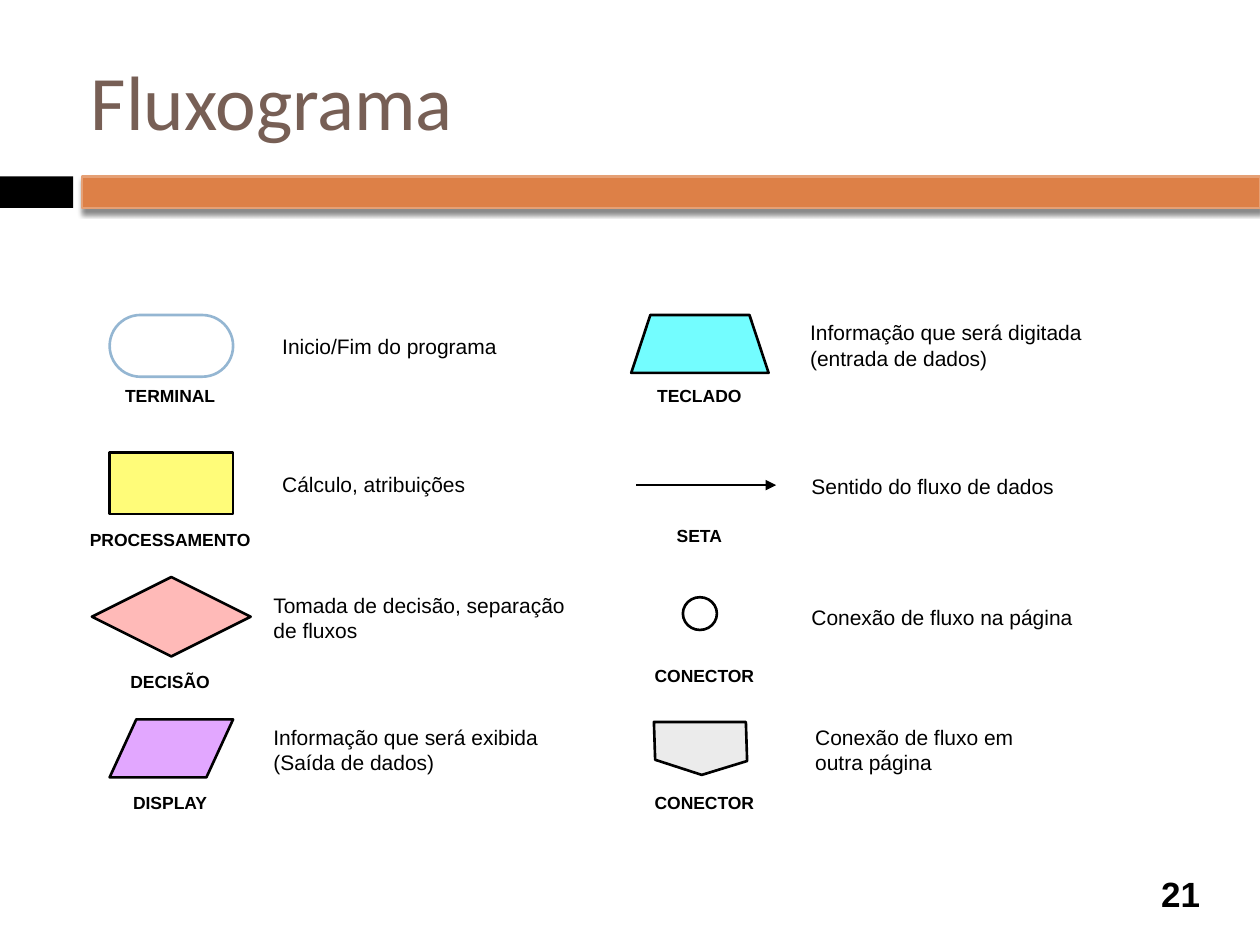
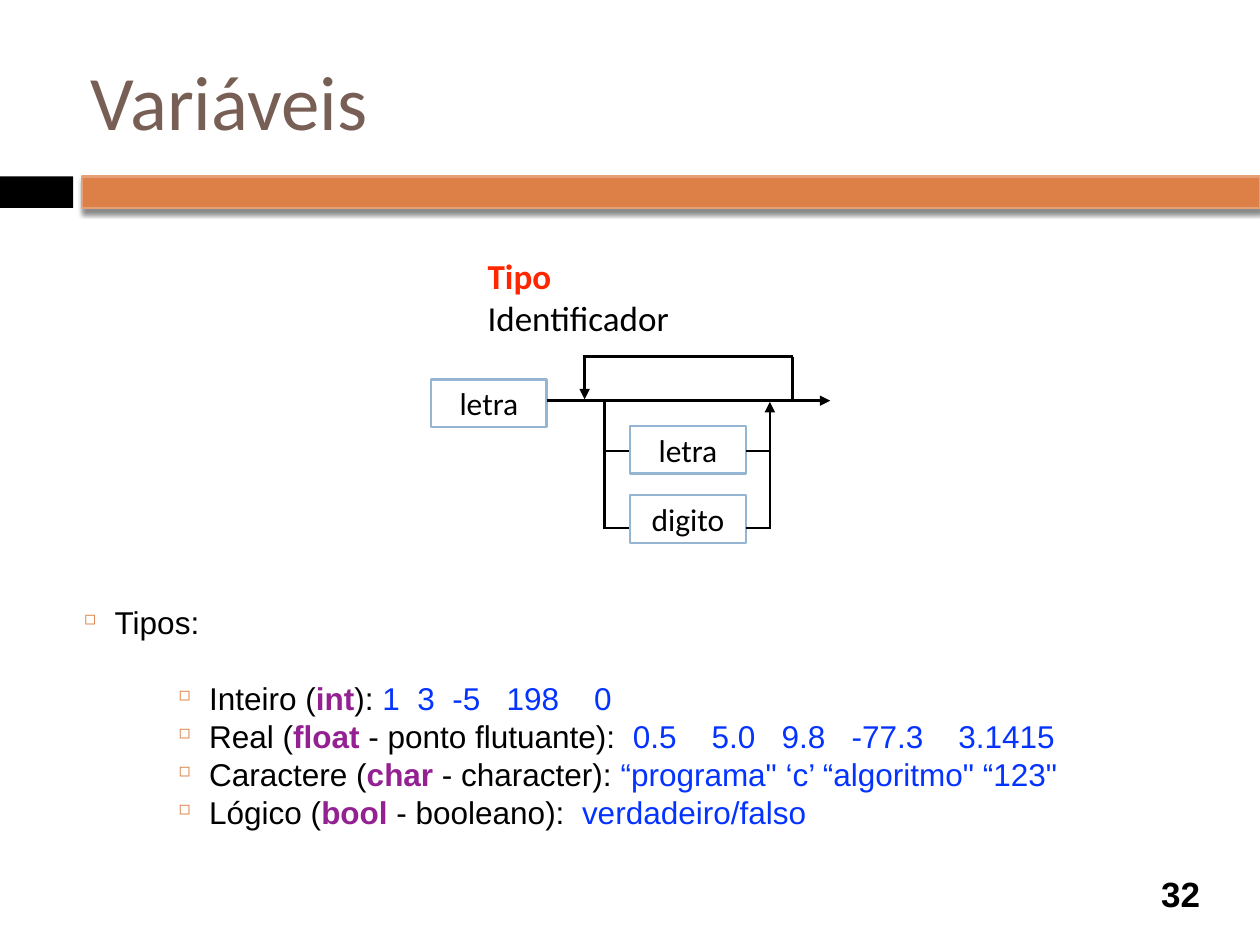
from dataclasses import dataclass

from lxml import etree
from pptx import Presentation
from pptx.dml.color import RGBColor
from pptx.enum.shapes import MSO_CONNECTOR, MSO_SHAPE
from pptx.enum.text import MSO_ANCHOR, MSO_AUTO_SIZE, PP_ALIGN
from pptx.oxml.ns import qn
from pptx.util import Inches, Pt

BLACK = RGBColor(0x00, 0x00, 0x00)
WHITE = RGBColor(0xFF, 0xFF, 0xFF)
BROWN = RGBColor(0x77, 0x5F, 0x55)
ORANGE = RGBColor(0xDD, 0x80, 0x47)
LIGHT_ORANGE = RGBColor(0xE5, 0xA0, 0x75)
STEEL = RGBColor(0x94, 0xB6, 0xD2)
YELLOW = RGBColor(0xFF, 0xFC, 0x79)
SALMON = RGBColor(0xFF, 0x7E, 0x79)
LILAC = RGBColor(0xD7, 0x83, 0xFF)
CYAN = RGBColor(0x73, 0xFD, 0xFF)
PALE_GRAY = RGBColor(0xEB, 0xEB, 0xEB)
RED = RGBColor(0xFF, 0x26, 0x00)
PURPLE = RGBColor(0x94, 0x21, 0x92)
BLUE = RGBColor(0x04, 0x33, 0xFF)

RECTANGLE = MSO_SHAPE.RECTANGLE
ROUNDED = MSO_SHAPE.ROUNDED_RECTANGLE
DIAMOND = MSO_SHAPE.DIAMOND
PARALLELOGRAM = MSO_SHAPE.PARALLELOGRAM
TRAPEZOID = MSO_SHAPE.TRAPEZOID
OVAL = MSO_SHAPE.OVAL
STRAIGHT = MSO_CONNECTOR.STRAIGHT
LEFT, CENTER = PP_ALIGN.LEFT, PP_ALIGN.CENTER
TOP, MIDDLE = MSO_ANCHOR.TOP, MSO_ANCHOR.MIDDLE
NO_AUTOFIT = MSO_AUTO_SIZE.NONE

TITLE_LAYOUT, BODY_LAYOUT = 5, 1
LINE_WIDTH = Pt(1.5)
INSET = Inches(0.05)
SPACE_WIDTH = 5
LIST_SPACING = 11
LIST_PITCH = 21.5
Area = tuple[float, float, float, float]
Point = tuple[float, float]


@dataclass(frozen=True)
class TextStyle:
    """Type settings of a text."""
    size: float
    font: str = "Arial"
    color: RGBColor = BLACK
    bold: bool = False
    align: PP_ALIGN = LEFT
    anchor: MSO_ANCHOR = TOP


@dataclass(frozen=True)
class Span:
    """A piece of a line, followed by a gap as wide as so many spaces."""
    text: str
    color: RGBColor = BLACK
    bold: bool = False
    gap: int = 0


@dataclass(frozen=True)
class Symbol:
    """A flowchart symbol with its label and meaning."""
    label: str
    label_at: Point
    meaning: str
    meaning_at: Point


@dataclass(frozen=True)
class Figure:
    """A preset shape and its look."""
    kind: MSO_SHAPE
    area: Area
    fill: RGBColor
    line: RGBColor = BLACK
    adjustment: float | None = None
    opacity: int = 100


@dataclass(frozen=True)
class Stroke:
    """A straight line, with or without an arrowhead at its end."""
    start: Point
    end: Point
    arrow: bool = False


TITLE = TextStyle(44, "Calibri", BROWN, anchor=MIDDLE)
PAGE_NUMBER = TextStyle(20, bold=True, align=CENTER, anchor=MIDDLE)
LABEL = TextStyle(10, bold=True, align=CENTER)
MEANING = TextStyle(12)
HEADING = TextStyle(20, "Calibri")
TOKEN = TextStyle(18, "Calibri", align=CENTER, anchor=MIDDLE)
LIST = TextStyle(18, anchor=MIDDLE)

SYMBOLS = [
    Symbol("TERMINAL", (1.35, 3.01), "Inicio/Fim do programa", (2.19, 2.6)),
    Symbol("PROCESSAMENTO", (1.35, 4.15), "Cálculo, atribuições", (2.19, 3.69)),
    Symbol("DECISÃO", (1.35, 5.28), "Tomada de decisão, separação\nde fluxos", (2.12, 4.65)),
    Symbol("DISPLAY", (1.35, 6.24), "Informação que será exibida\n(Saída de dados)", (2.12, 5.7)),
    Symbol("TECLADO", (5.55, 3.01), "Informação que será digitada\n(entrada de dados)", (6.38, 2.49)),
    Symbol("SETA", (5.55, 4.12), "Sentido do fluxo de dados", (6.39, 3.71)),
    Symbol("CONECTOR", (5.59, 5.23), "Conexão de fluxo na página", (6.39, 4.75)),
    Symbol("CONECTOR", (5.59, 6.24), "Conexão de fluxo em\noutra página", (6.42, 5.7)),
]
FIGURES = [
    Figure(ROUNDED, (0.87, 2.5, 0.98, 0.49), WHITE, STEEL, 0.5),
    Figure(RECTANGLE, (0.87, 3.59, 0.98, 0.49), YELLOW),
    Figure(DIAMOND, (0.73, 4.58, 1.26, 0.63), SALMON, opacity=53),
    Figure(PARALLELOGRAM, (0.87, 5.71, 0.98, 0.46), LILAC, adjustment=0.46, opacity=70),
    Figure(TRAPEZOID, (5.01, 2.5, 1.09, 0.46), CYAN, adjustment=0.33),
    Figure(OVAL, (5.42, 4.74, 0.27, 0.26), WHITE),
]
FLOW_ARROW = Stroke((5.05, 3.85), (6.16, 3.85), True)
PAGE_CONNECTOR = [(5.19, 5.73), (5.92, 5.73), (5.93, 6.04), (5.57, 6.15), (5.2, 6.03)]

TOKENS = [("letra", 3.42, 3.01), ("letra", 5, 3.38), ("digito", 5, 3.93)]
BRANCHES = [Stroke((left, y), (left + 0.18, y)) for y in (3.58, 4.19) for left in (4.81, 5.92)]
SYNTAX_LINES = [
    Stroke((4.34, 3.18), (6.59, 3.18), True),
    Stroke((4.64, 2.83), (4.64, 3.17), True),
    Stroke((6.29, 2.83), (6.29, 3.18)),
    Stroke((4.63, 2.83), (6.29, 2.83)),
    Stroke((4.8, 3.19), (4.8, 4.2)),
    Stroke((6.11, 4.2), (6.11, 3.19), True),
    *BRANCHES,
]
TYPES = [
    [Span("Inteiro ("), Span("int", PURPLE, True), Span("): "),
     Span("1", BLUE, gap=2), Span("3", BLUE, gap=2), Span("-5", BLUE, gap=3),
     Span("198", BLUE, gap=4), Span("0", BLUE)],
    [Span("Real ("), Span("float", PURPLE, True), Span(" - ponto flutuante):", gap=2),
     Span("0.5", BLUE, gap=4), Span("5.0", BLUE, gap=3), Span("9.8", BLUE, gap=3),
     Span("-77.3", BLUE, gap=4), Span("3.1415", BLUE)],
    [Span("Caractere ("), Span("char", PURPLE, True), Span(" - character): "),
     Span("“programa\" ‘c’ “algoritmo\" “123\"", BLUE)],
    [Span("Lógico ("), Span("bool", PURPLE, True), Span(" - booleano):", gap=2),
     Span("verdadeiro/falso", BLUE)],
]


def add_element(parent, tag: str, **attributes: str):
    """Append a drawing element to a parent and return it."""
    return etree.SubElement(parent, qn(tag), attributes)


def place(shape, area: Area) -> None:
    """Move and size a shape."""
    shape.left, shape.top, shape.width, shape.height = map(Inches, area)


def style_run(run, style: TextStyle, color: RGBColor, bold: bool) -> None:
    """Set the font of a run."""
    run.font.name = style.font
    run.font.size = Pt(style.size)
    run.font.color.rgb = color
    run.font.bold = bold


def set_frame(frame, style: TextStyle) -> None:
    """Set wrapping, insets and anchor of a text frame."""
    frame.word_wrap = True
    frame.auto_size = NO_AUTOFIT
    frame.vertical_anchor = style.anchor
    frame.margin_left = frame.margin_right = INSET
    frame.margin_top = frame.margin_bottom = INSET


def write(shape, text: str, style: TextStyle) -> None:
    """Fill a shape with text of one style."""
    set_frame(shape.text_frame, style)
    shape.text_frame.text = text
    for para in shape.text_frame.paragraphs:
        para.alignment = style.align
        for run in para.runs:
            style_run(run, style, style.color, style.bold)


def write_spans(para, spans: list[Span], style: TextStyle) -> None:
    """Fill a paragraph with spans, widening the space after each gap."""
    for span in spans:
        run = para.add_run()
        run.text = span.text
        style_run(run, style, span.color, span.bold)
        if span.gap:
            space = para.add_run()
            space.text = " "
            style_run(space, style, span.color, span.bold)
            space.font._element.set("spc", str((span.gap - 1) * SPACE_WIDTH * 100))


def add_text(page, text: str, area: Area, style: TextStyle) -> None:
    """Add a text box."""
    write(page.shapes.add_textbox(*map(Inches, area)), text, style)


def paint(shape, fill: RGBColor, line: RGBColor | None, opacity: int = 100) -> None:
    """Set fill and outline of a shape without shadow."""
    shape.shadow.inherit = False
    shape.fill.solid()
    shape.fill.fore_color.rgb = fill
    if opacity < 100:
        color = shape._element.spPr.find(".//" + qn("a:srgbClr"))
        add_element(color, "a:alpha", val=str(opacity * 1000))
    if line is None:
        shape.line.fill.background()
    else:
        shape.line.color.rgb = line
        shape.line.width = LINE_WIDTH


def add_figure(page, figure: Figure):
    """Add a preset shape."""
    shape = page.shapes.add_shape(figure.kind, *map(Inches, figure.area))
    paint(shape, figure.fill, figure.line, figure.opacity)
    if figure.adjustment is not None:
        shape.adjustments[0] = figure.adjustment
    return shape


def add_stroke(page, stroke: Stroke) -> None:
    """Add a connector."""
    line = page.shapes.add_connector(STRAIGHT, *map(Inches, stroke.start + stroke.end))
    line.line.color.rgb = BLACK
    line.line.width = LINE_WIDTH
    if stroke.arrow:
        add_element(line.line._get_or_add_ln(), "a:tailEnd", type="triangle")
    add_element(line._element.spPr, "a:effectLst")


def add_page(deck, layout: int, title: str, number: str):
    """Add a slide with its bands, title and page number."""
    page = deck.slides.add_slide(deck.slide_layouts[layout])
    black_band = page.shapes.add_shape(RECTANGLE, *map(Inches, (0, 1.4, 0.58, 0.25)))
    paint(black_band, BLACK, None)
    band = add_figure(page, Figure(RECTANGLE, (0.65, 1.4, 9.35, 0.25), ORANGE, LIGHT_ORANGE))
    effects = band._element.spPr.find(qn("a:effectLst"))
    shadow = add_element(effects, "a:outerShdw", blurRad=str(Pt(3)), dist=str(Pt(2.4)),
                         dir="5400000", rotWithShape="0")
    color = add_element(shadow, "a:srgbClr", val=str(BLACK))
    add_element(color, "a:alpha", val="45000")
    place(page.shapes.title, (0.67, 0.25, 8.92, 1.08))
    write(page.shapes.title, title, TITLE)
    add_text(page, number, (9.08, 6.89, 0.58, 0.41), PAGE_NUMBER)
    return page


def format_item(para, indent: float, space_before: float) -> None:
    """Set spacing, indent and square bullet of a list item."""
    para.line_spacing = 0.5
    para.space_before = Pt(space_before)
    para.alignment = LEFT
    properties = para._p.get_or_add_pPr()
    properties.set("marL", str(Inches(indent)))
    properties.set("indent", str(Inches(-0.24)))
    color = add_element(properties, "a:buClr")
    add_element(color, "a:srgbClr", val=str(ORANGE))
    add_element(properties, "a:buSzPct", val="60000")
    add_element(properties, "a:buFont", typeface="Arial")
    add_element(properties, "a:buChar", char="◻")


def build_flowchart(deck) -> None:
    """Build the slide of flowchart symbols."""
    page = add_page(deck, TITLE_LAYOUT, "Fluxograma", "21")
    for figure in FIGURES:
        add_figure(page, figure)
    add_stroke(page, FLOW_ARROW)
    corners = [(Inches(x), Inches(y)) for x, y in PAGE_CONNECTOR]
    builder = page.shapes.build_freeform(*corners[0])
    builder.add_line_segments(corners[1:], close=True)
    paint(builder.convert_to_shape(), PALE_GRAY, BLACK)
    for symbol in SYMBOLS:
        center, top = symbol.label_at
        add_text(page, symbol.label, (center - 0.75, top, 1.5, 0.25), LABEL)
        height = 0.29 + 0.19 * symbol.meaning.count("\n")
        add_text(page, symbol.meaning, (*symbol.meaning_at, 2.7, height), MEANING)


def build_variables(deck) -> None:
    """Build the slide of the identifier diagram and the variable types."""
    page = add_page(deck, BODY_LAYOUT, "Variáveis", "32")
    heading = page.shapes.add_textbox(*map(Inches, (3.82, 1.97, 1.75, 0.75)))
    set_frame(heading.text_frame, HEADING)
    write_spans(heading.text_frame.paragraphs[0],
                [Span("Tipo", RED, True), Span(" Identificador")], HEADING)
    body = page.placeholders[1]
    place(body, (0.62, 4.51, 8.49, 2.47))
    set_frame(body.text_frame, LIST)
    intro = body.text_frame.paragraphs[0]
    format_item(intro, 0.24, 0)
    write_spans(intro, [Span("Tipos:")], LIST)
    for index, spans in enumerate(TYPES):
        para = body.text_frame.add_paragraph()
        para.level = 1
        format_item(para, 0.99, LIST_SPACING if index else LIST_SPACING + LIST_PITCH)
        write_spans(para, spans, LIST)
    for text, left, top in TOKENS:
        write(add_figure(page, Figure(RECTANGLE, (left, top, 0.92, 0.38), WHITE, STEEL)), text, TOKEN)
    for stroke in SYNTAX_LINES:
        add_stroke(page, stroke)


def main() -> None:
    """Build and save the deck."""
    deck = Presentation()
    deck.slide_width, deck.slide_height = Inches(10), Inches(7.5)
    build_flowchart(deck)
    build_variables(deck)
    deck.save("out.pptx")


if __name__ == "__main__":
    main()
